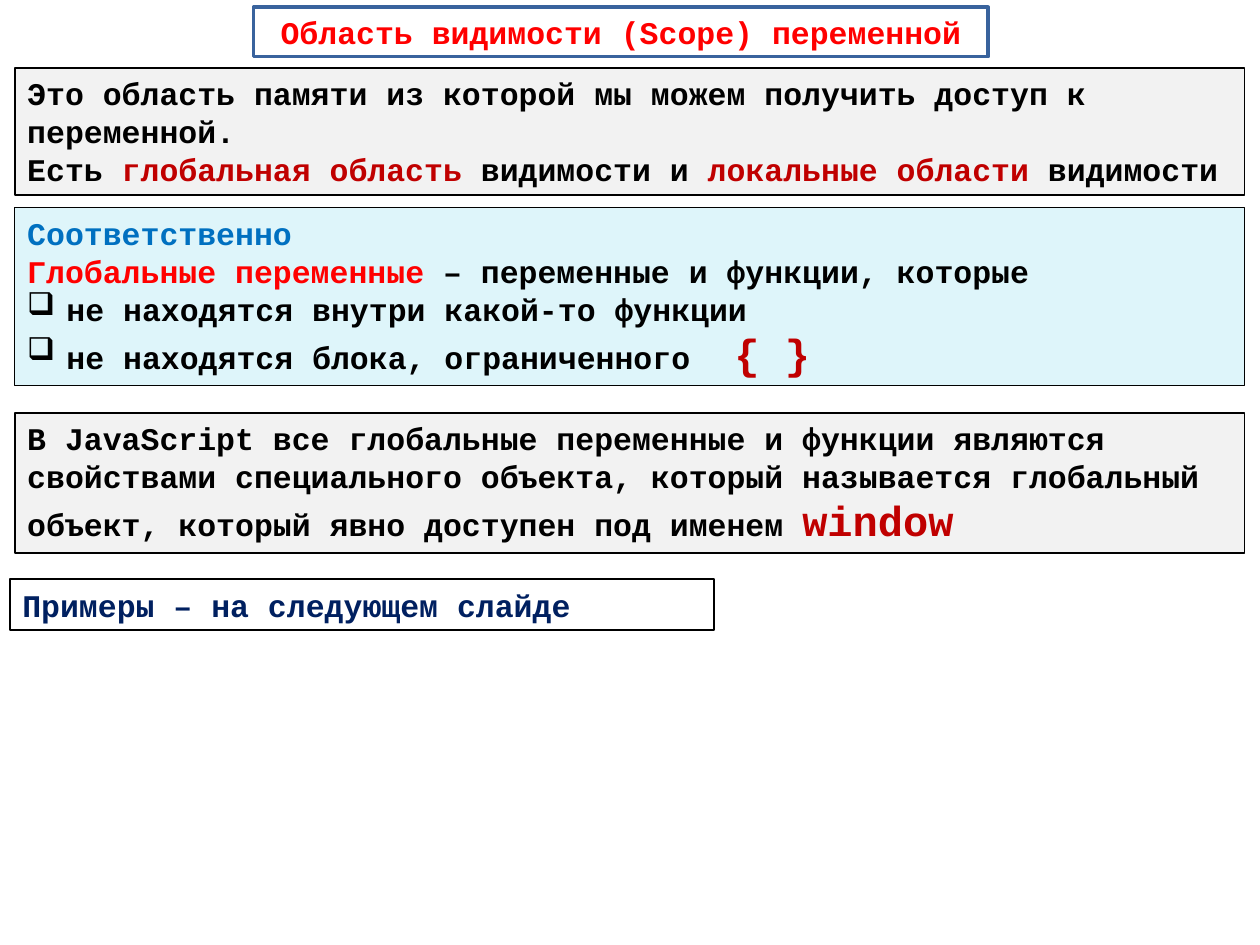
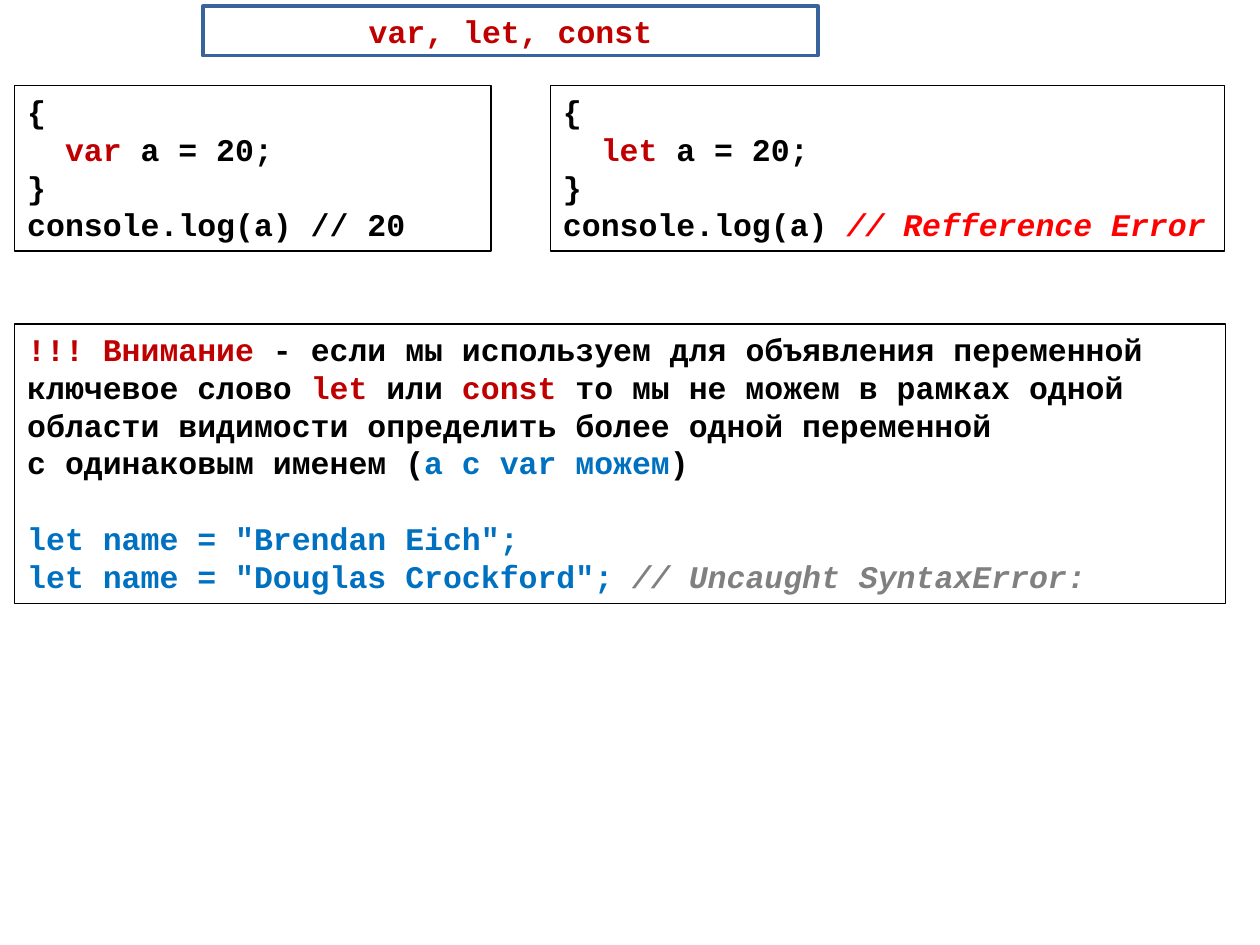
from lxml import etree
from pptx import Presentation
from pptx.dml.color import RGBColor
from pptx.enum.shapes import MSO_SHAPE
from pptx.enum.text import MSO_ANCHOR, MSO_AUTO_SIZE, PP_ALIGN
from pptx.oxml.ns import qn
from pptx.util import Cm, Pt

COLORS = {
    "black": "000000", "white": "FFFFFF", "grey": "F2F2F2", "cyan": "DEF5FA",
    "frame": "39639D", "red": "FF0000", "dark_red": "C00000", "blue": "0070C0",
    "navy": "002060", "comment": "808080",
}
FONT = "Courier New"
LINE_GAP = 21.6
LEFT = 0.3
WIDE = 24.79

STYLES = {
    "plain": {"color": "black"},
    "key": {"color": "dark_red"},
    "big_key": {"color": "dark_red", "size": 24},
    "red": {"color": "red"},
    "blue": {"color": "blue"},
    "navy": {"color": "navy"},
    "error": {"color": "red", "italic": True},
    "comment": {"color": "comment", "italic": True},
}


def code_block(keyword, *last_line):
    return [
        ["{"],
        ["  ", (keyword, "key"), " a = 20;"],
        ["}"],
        ["console.log(a) ", *last_line],
    ]


SLIDES = [
    {
        "title": ("Область видимости (Scope) переменной", "red"),
        "title_at": (5.11, 0.15, 14.81, 0.99),
        "boxes": [
            {"at": (LEFT, 1.37, WIDE, 2.57), "fill": "grey", "line": 1, "text": [
                ["Это область памяти из которой мы можем получить доступ к переменной."],
                ["Есть ", ("глобальная область ", "key"), "видимости и ",
                 ("локальные области ", "key"), "видимости"],
            ]},
            {"at": (LEFT, 4.19, WIDE, 3.58), "fill": "cyan", "line": 0.75,
             "bullets": (2, 3), "text": [
                [("Соответственно", "blue")],
                [("Глобальные переменные ", "red"), "– переменные и функции, которые"],
                ["не находятся внутри какой-то функции"],
                ["не находятся блока, ограниченного ", (" { }", "big_key")],
            ]},
            {"at": (LEFT, 8.33, WIDE, 2.82), "fill": "grey", "line": 1, "text": [
                ["В JavaScript все глобальные переменные и функции являются свойствами "
                 "специального объекта, который называется глобальный объект, "
                 "который явно доступен под именем ", ("window", "big_key")],
            ]},
            {"at": (0.2, 11.68, 14.2, 1.02), "fill": "white", "line": 1, "text": [
                [("Примеры – на следующем слайде", "navy")],
            ]},
        ],
    },
    {
        "title": ("var, let, const", "key"),
        "title_at": (4.09, 0.13, 12.4, 0.99),
        "boxes": [
            {"at": (LEFT, 1.73, 9.6, 3.33), "line": 0.75,
             "text": code_block("var", "// 20")},
            {"at": (11.1, 1.73, 13.59, 3.33), "line": 0.75,
             "text": code_block("let", ("// Refference Error", "error"))},
            {"at": (LEFT, 6.53, 24.41, 5.64), "line": 0.75, "gaps": (2,), "text": [
                [("!!! Внимание ", "key"),
                 "- если мы используем для объявления переменной ключевое слово ",
                 ("let", "key"), " или ", ("const", "key"),
                 " то мы не можем в рамках одной области видимости "
                 "определить более одной переменной"],
                ["с одинаковым именем (", ("a c var можем", "blue"), ")"],
                [('let name = "Brendan Eich";', "blue")],
                [('let name = "Douglas Crockford"; ', "blue"),
                 ("// Uncaught SyntaxError:", "comment")],
            ]},
        ],
    },
]


def rgb(name):
    return RGBColor.from_string(COLORS[name])


def place(sp, at):
    for name, value in zip(("left", "top", "width", "height"), at):
        setattr(sp, name, Cm(value))


def paint(sp, fill, line, width):
    if fill:
        sp.fill.solid()
        sp.fill.fore_color.rgb = rgb(fill)
    else:
        sp.fill.background()
    sp.line.color.rgb = rgb(line)
    sp.line.width = Pt(width)


def add_run(p, item):
    text, style = item if isinstance(item, tuple) else (item, "plain")
    look = STYLES[style]
    r = p.add_run()
    r.text = text
    r.font.color.rgb = rgb(look["color"])
    values = {"name": FONT, "size": Pt(look.get("size", 18)), "bold": True,
              "italic": look.get("italic", False)}
    for name, value in values.items():
        setattr(r.font, name, value)


def add_bullet(p):
    pPr = p._p.get_or_add_pPr()
    pPr.set("marL", str(Cm(0.79)))
    pPr.set("indent", str(-Cm(0.79)))
    etree.SubElement(pPr, qn("a:buFont")).set("typeface", "Wingdings")
    etree.SubElement(pPr, qn("a:buChar")).set("char", "q")


def add_title(s, title, at):
    sp = s.shapes.title
    place(sp, at)
    paint(sp, "white", "frame", 2.25)
    tf = sp.text_frame
    tf.word_wrap = True
    tf.auto_size = MSO_AUTO_SIZE.NONE
    tf.vertical_anchor = MSO_ANCHOR.MIDDLE
    p = tf.paragraphs[0]
    p.alignment = PP_ALIGN.CENTER
    add_run(p, title)


def add_box(s, box):
    sp = s.shapes.add_shape(MSO_SHAPE.RECTANGLE, *map(Cm, box["at"]))
    sp.shadow.inherit = False
    paint(sp, box.get("fill"), "black", box["line"])
    tf = sp.text_frame
    tf.word_wrap = True
    tf.auto_size = MSO_AUTO_SIZE.SHAPE_TO_FIT_TEXT
    tf.vertical_anchor = MSO_ANCHOR.TOP
    for i, line in enumerate(box["text"]):
        p = tf.add_paragraph() if i else tf.paragraphs[0]
        p.alignment = PP_ALIGN.LEFT
        if i in box.get("gaps", ()):
            p.space_before = Pt(LINE_GAP)
        if i in box.get("bullets", ()):
            add_bullet(p)
        for item in line:
            add_run(p, item)


def main():
    prs = Presentation()
    prs.slide_width, prs.slide_height = Cm(25.4), Cm(19.05)
    for content in SLIDES:
        s = prs.slides.add_slide(prs.slide_layouts[5])
        add_title(s, content["title"], content["title_at"])
        for box in content["boxes"]:
            add_box(s, box)
    prs.save("out.pptx")


if __name__ == "__main__":
    main()
